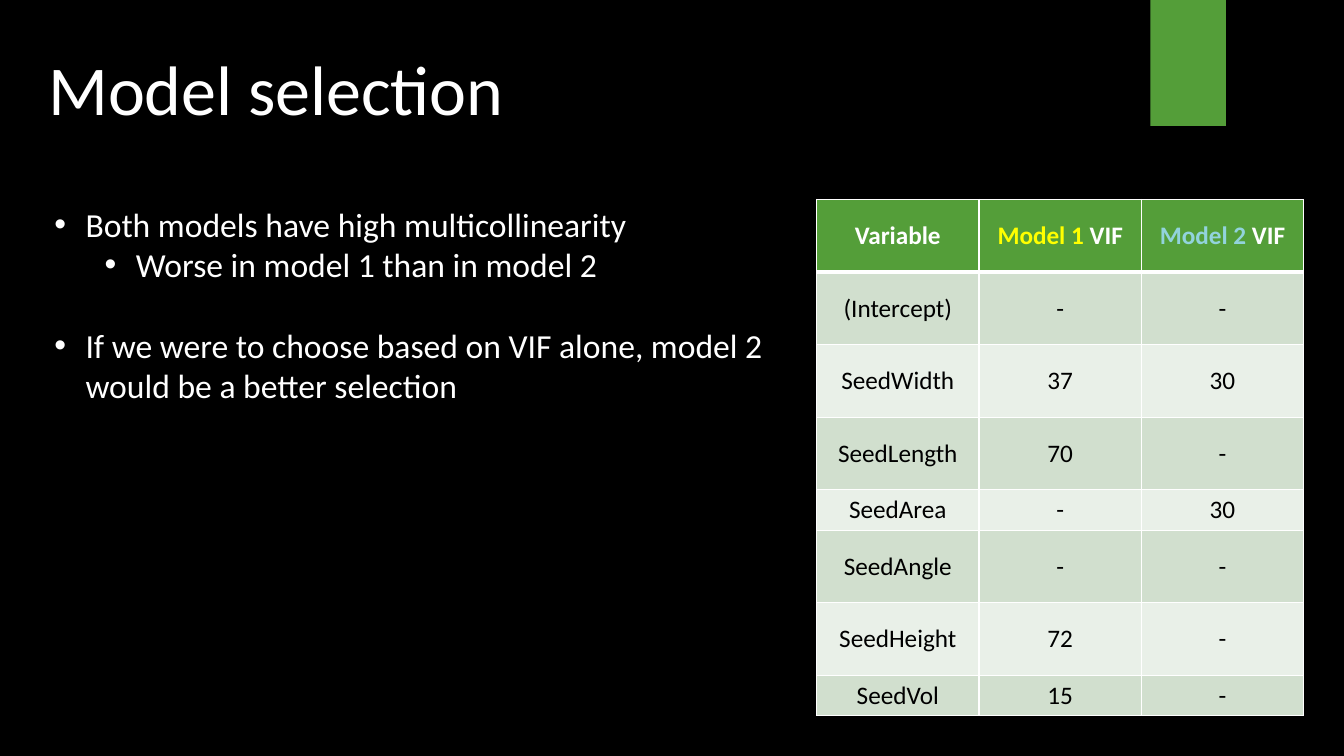
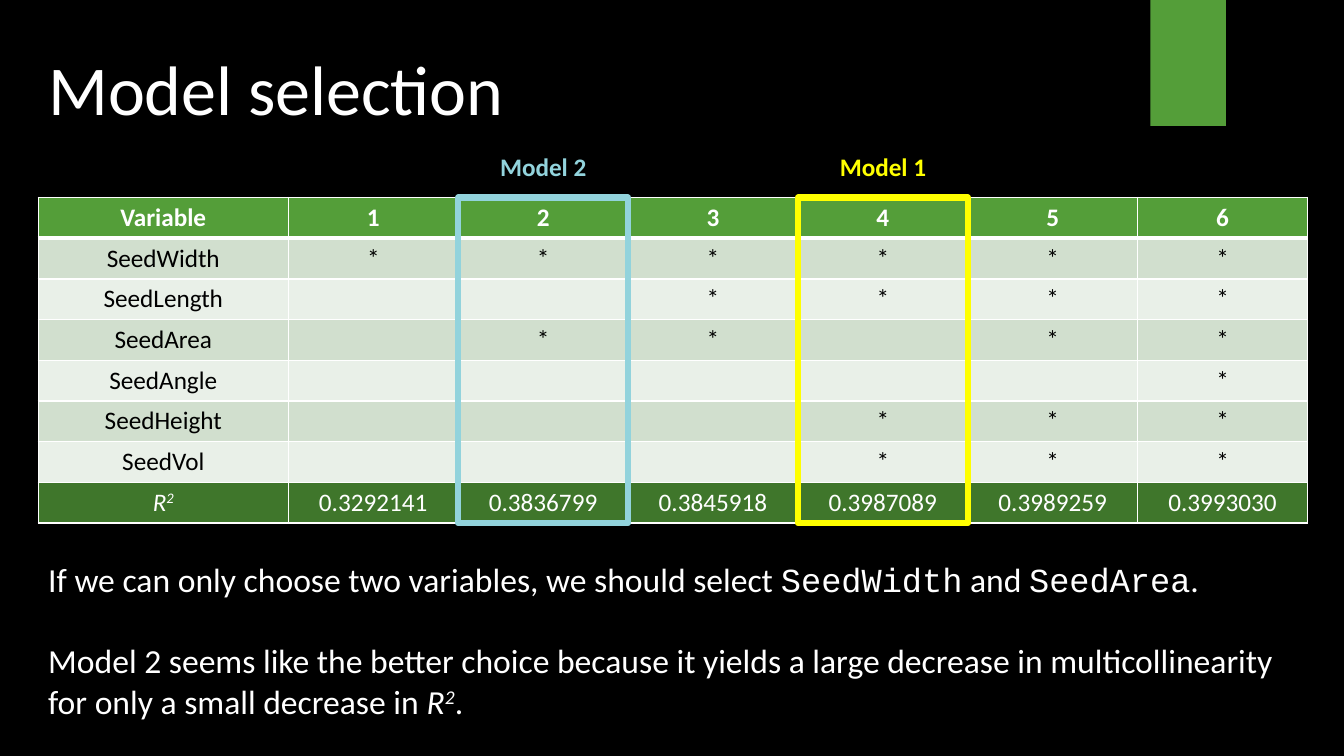
from lxml import etree
from pptx import Presentation
from pptx.dml.color import RGBColor
from pptx.enum.shapes import MSO_SHAPE
from pptx.enum.text import MSO_ANCHOR, PP_ALIGN
from pptx.oxml.ns import qn
from pptx.util import Inches, Pt

RECT = MSO_SHAPE.RECTANGLE
MIDDLE = MSO_ANCHOR.MIDDLE
LEFT, CENTER = PP_ALIGN.LEFT, PP_ALIGN.CENTER

BLACK = RGBColor(0x00, 0x00, 0x00)
WHITE = RGBColor(0xFF, 0xFF, 0xFF)
GREEN = RGBColor(0x54, 0x9E, 0x39)
DARK = RGBColor(0x3F, 0x76, 0x2B)
LIGHT = RGBColor(0xD1, 0xDF, 0xCE)
PALE = RGBColor(0xE9, 0xF0, 0xE8)
YELLOW = RGBColor(0xFF, 0xFF, 0x00)
BLUE = RGBColor(0x92, 0xD3, 0xDC)

FONT, MONO = "Calibri", "Courier New"
CODE, ITALIC, SUPER = "code", "italic", "super"
SQUARED = [("R", ITALIC), ("2", SUPER)]
EDGE = 0.38


def write(par, parts, size, color=WHITE, bold=False, align=LEFT):
    """Fill a paragraph from a string or from (text, style or colour) pairs."""
    par.alignment = align
    font = par.font
    font.name, font.size, font.bold = FONT, Pt(size), bold
    font.color.rgb = color
    for text, style in [(parts, None)] if isinstance(parts, str) else parts:
        run = par.add_run()
        run.text = text
        if style == CODE:
            run.font.name = MONO
        elif style in (ITALIC, SUPER):
            run.font.italic = True
            if style == SUPER:
                run.font._element.set("baseline", "30000")
        elif style is not None:
            run.font.color.rgb = style


def add_text(slide, left, top, width, height):
    box = slide.shapes.add_textbox(Inches(left), Inches(top), Inches(width), Inches(height))
    box.text_frame.word_wrap = True
    return box.text_frame


deck = Presentation()
deck.slide_width, deck.slide_height = Inches(13.33), Inches(7.5)

LOW, TALL = 0.4, 0.72
TOP, WIDE, HIGH = 1.96, 12.59, 3.23
FIRST = 2.48
COL = (WIDE - FIRST) / 6

vif = [
    ["Variable", [("Model 1 ", YELLOW), ("VIF", None)], [("Model 2 ", BLUE), ("VIF", None)]],
    ["(Intercept)", "-", "-"],
    ["SeedWidth", "37", "30"],
    ["SeedLength", "70", "-"],
    ["SeedArea", "-", "30"],
    ["SeedAngle", "-", "-"],
    ["SeedHeight", "72", "-"],
    ["SeedVol", "15", "-"],
]
picks = [("SeedWidth", "123456"), ("SeedLength", "3456"), ("SeedArea", "2356"),
         ("SeedAngle", "6"), ("SeedHeight", "456"), ("SeedVol", "456")]
fits = [
    ["Variable", *"123456"],
    *[[name] + ["*" if n in used else "" for n in "123456"] for name, used in picks],
    [SQUARED, "0.3292141", "0.3836799", "0.3845918", "0.3987089", "0.3989259", "0.3993030"],
]
bands = [GREEN] + [LIGHT, PALE] * 3

# rows, fills, left, top, column widths, row heights
tables = [
    (vif, bands + [LIGHT], 8.1, 1.98, [1.61] * 3,
     [TALL] * 4 + [LOW] + [TALL] * 2 + [LOW]),
    (fits, bands + [DARK], EDGE, TOP, [FIRST] + [COL] * 6, [HIGH / 8] * 8),
]

# Both slides: background, title, tab and table
slides = []
for rows, fills, left, top, widths, heights in tables:
    slide = deck.slides.add_slide(deck.slide_layouts[6])
    slides.append(slide)
    slide.background.fill.solid()
    slide.background.fill.fore_color.rgb = BLACK

    tab = slide.shapes.add_shape(RECT, Inches(11.41), 0, Inches(0.75), Inches(1.25))
    tab.shadow.inherit = False
    tab.fill.solid()
    tab.fill.fore_color.rgb = GREEN
    tab.line.fill.background()
    write(add_text(slide, EDGE, 0.4, 9.41, 0.94).paragraphs[0], "Model selection", 50)

    grid = slide.shapes.add_table(len(rows), len(widths), Inches(left), Inches(top),
                                  Inches(sum(widths)), Inches(sum(heights))).table
    for col, width in zip(grid.columns, widths):
        col.width = Inches(width)
    for r, (row, fill, height) in enumerate(zip(rows, fills, heights)):
        grid.rows[r].height = Inches(height)
        for c, parts in enumerate(row):
            cell = grid.cell(r, c)
            cell.vertical_anchor = MIDDLE
            props = cell._tc.get_or_add_tcPr()
            for side in "LRTB":
                thick = 3 if (r, side) in [(0, "B"), (1, "T")] else 1
                line = etree.SubElement(props, qn("a:ln" + side), w=str(Pt(thick)))
                solid = etree.SubElement(line, qn("a:solidFill"))
                etree.SubElement(solid, qn("a:srgbClr"), val=str(WHITE))
            cell.fill.solid()
            cell.fill.fore_color.rgb = fill
            color = WHITE if fill in (GREEN, DARK) else BLACK
            write(cell.text_frame.paragraphs[0], parts, 18, color, r == 0, CENTER)

# Slide 1: bullets
frame = add_text(slides[0], 0.44, 1.97, 7.35, 2.12)
points = [
    (0, 0, "Both models have high multicollinearity"),
    (1, 0, "Worse in model 1 than in model 2"),
    (0, 29, "If we were to choose based on VIF alone, model 2 would be a better selection"),
]
for i, (level, gap, text) in enumerate(points):
    par = frame.add_paragraph() if i else frame.paragraphs[0]
    par.level = level
    par.space_before = Pt(gap)
    props = par._p.get_or_add_pPr()
    props.set("marL", str(Inches(0.31 + 0.5 * level)))
    props.set("indent", str(Inches(-0.31)))
    etree.SubElement(props, qn("a:buFont"), typeface="Arial")
    etree.SubElement(props, qn("a:buChar"), char="•")
    write(par, text, 24)

# Slide 2: conclusion, then the two marked columns
frame = add_text(slides[1], EDGE, 5.5, 12.49, 1.72)
write(frame.paragraphs[0], [
    ("If we can only choose two variables, we should select ", None),
    ("SeedWidth", CODE), (" and ", None), ("SeedArea", CODE), (".", None)], 24)
par = frame.add_paragraph()
par.space_before = Pt(29)
write(par, [
    ("Model 2 seems like the better choice because it yields a large decrease in "
     "multicollinearity for only a small decrease in ", None),
    *SQUARED, (".", None)], 24)

for label, number, color in [("Model 1", 4, YELLOW), ("Model 2", 2, BLUE)]:
    left = EDGE + FIRST + COL * (number - 1)
    mark = slides[1].shapes.add_shape(RECT, Inches(left), Inches(TOP), Inches(COL), Inches(HIGH))
    mark.shadow.inherit = False
    mark.fill.background()
    mark.line.color.rgb = color
    mark.line.width = Pt(4.5)
    frame = add_text(slides[1], left - 0.34, 1.45, COL + 0.68, 0.4)
    write(frame.paragraphs[0], label, 18, color, True, CENTER)

deck.save("out.pptx")
